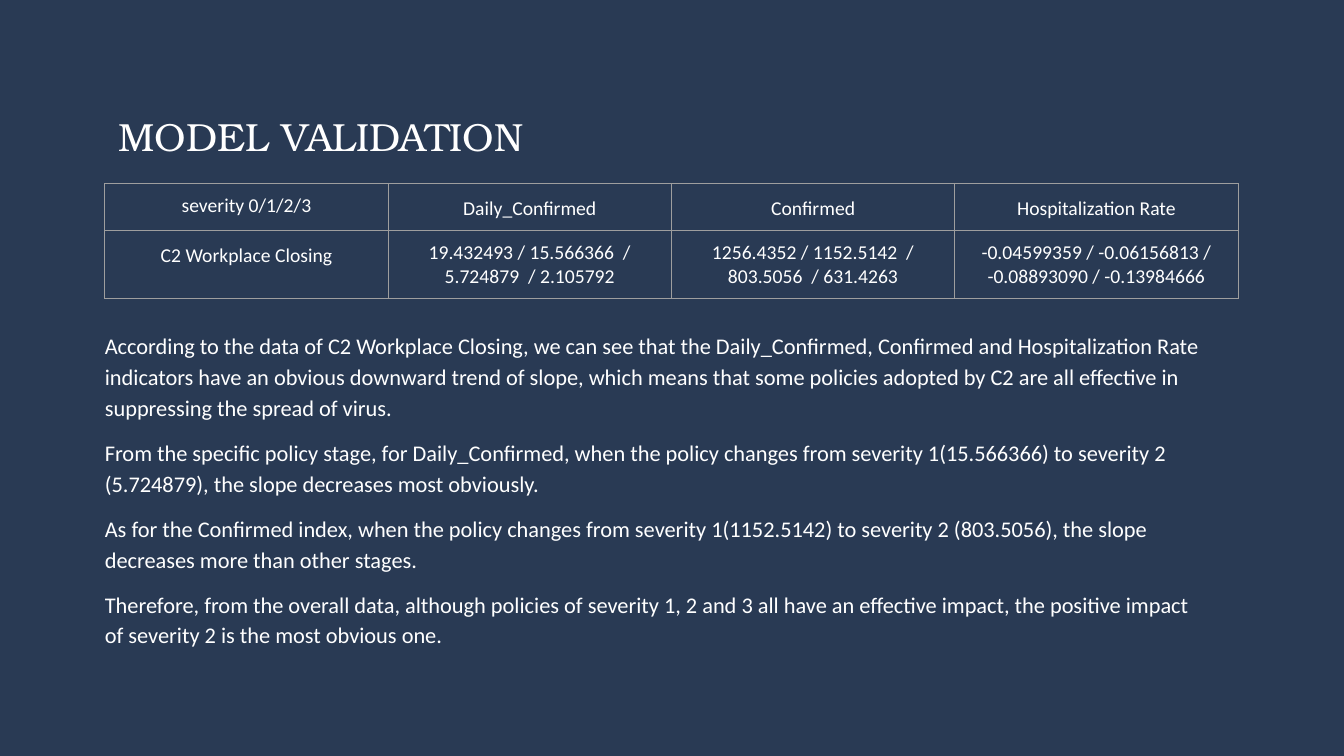
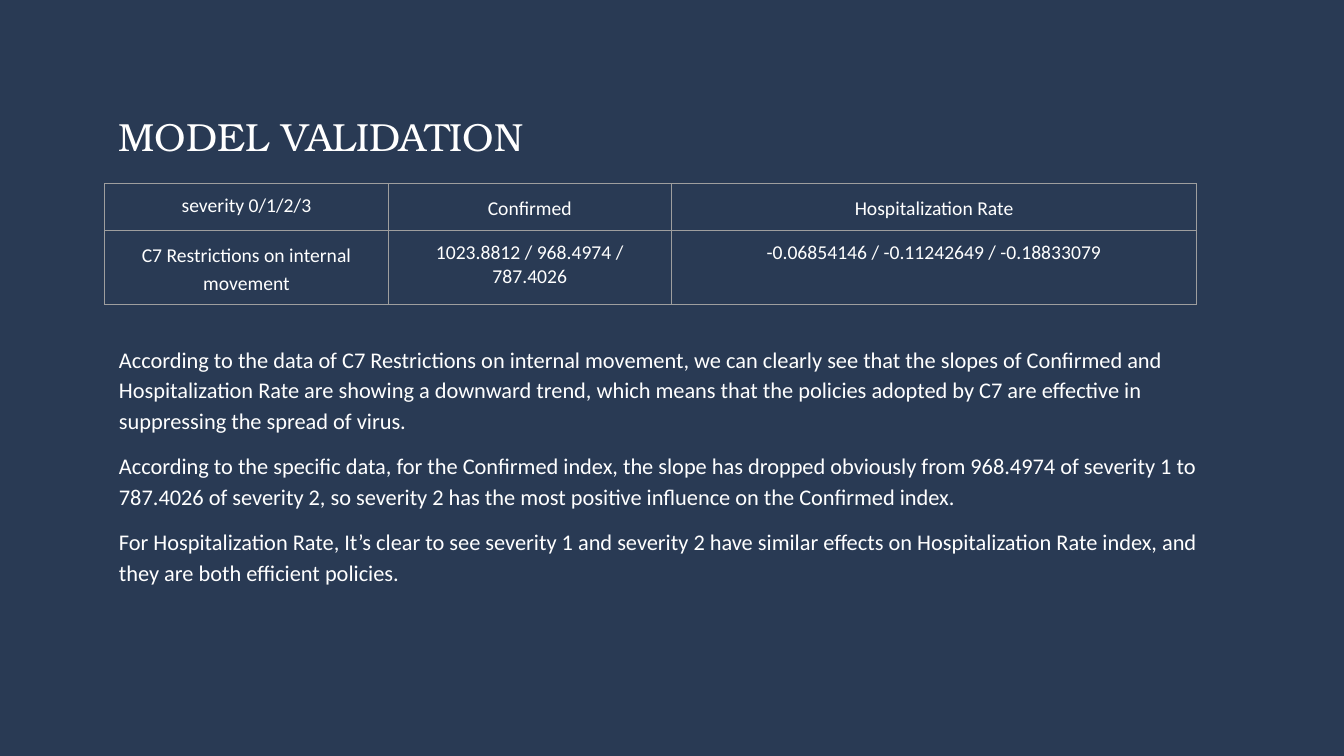
from lxml.etree import SubElement
from pptx import Presentation
from pptx.dml.color import RGBColor
from pptx.enum.text import MSO_ANCHOR as ANCHOR, PP_ALIGN as ALIGN
from pptx.oxml.ns import qn
from pptx.util import Inches, Pt

# Shared look
BACKGROUND, WHITE, BORDER = "293A54", "FFFFFF", "9E9E9E"
TITLE_FONT = {"name": "TeX Gyre Bonum", "size": Pt(28)}
BODY_FONT = {"name": "Calibri", "size": Pt(16)}
CELL_FONT = {"name": "Calibri", "size": Pt(14)}
LOOSE = {"line_spacing": 1.15, "space_before": Pt(10)}
FRAME = {"margin_left": 0, "margin_top": 0, "margin_right": 0,
         "margin_bottom": 0, "word_wrap": True,
         "vertical_anchor": ANCHOR.TOP}
CELL_MARGINS = {f"margin_{side}": Inches(0.1)
                for side in ("left", "top", "right", "bottom")}
TABLE_LEFT, TITLE_LEFT, TEXT_WIDTH = 1.04, 1.18, 10.97
ROW_HEIGHT = 0.42

# Slide content
SLIDES = [
    {
        "columns": [2.81] * 4,
        "rows": [
            ["severity 0/1/2/3", "Daily_Confirmed", "Confirmed",
             "Hospitalization Rate"],
            ["C2 Workplace Closing",
             "19.432493 / 15.566366  / 5.724879  / 2.105792",
             "1256.4352 / 1152.5142  / 803.5056  / 631.4263",
             "-0.04599359 / -0.06156813 / -0.08893090 / -0.13984666"],
        ],
        "body_at": (TABLE_LEFT, 3.26),
        "body": [
            "According to the data of C2 Workplace Closing, we can see that "
            "the Daily_Confirmed, Confirmed and Hospitalization Rate "
            "indicators have an obvious downward trend of slope, which means "
            "that some policies adopted by C2 are all effective in "
            "suppressing the spread of virus.",
            "From the specific policy stage, for Daily_Confirmed, when the "
            "policy changes from severity 1(15.566366) to severity 2 "
            "(5.724879), the slope decreases most obviously.",
            "As for the Confirmed index, when the policy changes from "
            "severity 1(1152.5142) to severity 2 (803.5056), the slope "
            "decreases more than other stages.",
            "Therefore, from the overall data, although policies of severity "
            "1, 2 and 3 all have an effective impact, the positive impact of "
            "severity 2 is the most obvious one.",
        ],
    },
    {
        "columns": [2.81, 2.81, 5.21],
        "rows": [
            ["severity 0/1/2/3", "Confirmed", "Hospitalization Rate"],
            ["C7 Restrictions on internal movement",
             "1023.8812 / 968.4974 / 787.4026",
             "-0.06854146 / -0.11242649 / -0.18833079"],
        ],
        "body_at": (TITLE_LEFT, 3.39),
        "body": [
            "According to the data of C7 Restrictions on internal movement, "
            "we can clearly see that the slopes of Confirmed and "
            "Hospitalization Rate are showing a downward trend, which means "
            "that the policies adopted by C7 are effective in suppressing "
            "the spread of virus.",
            "According to the specific data, for the Confirmed index, the "
            "slope has dropped obviously from 968.4974 of severity 1 to "
            "787.4026 of severity 2, so severity 2 has the most positive "
            "influence on the Confirmed index.",
            "For Hospitalization Rate, It’s clear to see severity 1 and "
            "severity 2 have similar effects on Hospitalization Rate index, "
            "and they are both efficient policies.",
        ],
    },
]


def rgb(value):
    return RGBColor.from_string(value)


def apply(target, values):
    for name, value in values.items():
        setattr(target, name, value)


def write(p, text, font, align=ALIGN.LEFT, spacing=None):
    r = p.add_run()
    r.text = text
    apply(r.font, font)
    r.font.color.rgb = rgb(WHITE)
    apply(p, {"alignment": align, **(spacing or {})})


def add_title(s, text):
    sp = s.shapes.title
    apply(sp, {"left": Inches(TITLE_LEFT), "top": Inches(1.11),
               "width": Inches(TEXT_WIDTH), "height": Inches(0.72)})
    apply(sp.text_frame, FRAME)
    write(sp.text_frame.paragraphs[0], text, TITLE_FONT)


def add_body(s, left, top, texts):
    sp = s.shapes.add_textbox(Inches(left), Inches(top),
                              Inches(TEXT_WIDTH), Inches(4.1))
    tf = sp.text_frame
    apply(tf, FRAME)
    for i, text in enumerate(texts):
        p = tf.add_paragraph() if i else tf.paragraphs[0]
        write(p, text, BODY_FONT, spacing=LOOSE)


def set_borders(cell):
    tc_pr = cell._tc.get_or_add_tcPr()
    for tag in ("a:lnL", "a:lnR", "a:lnT", "a:lnB"):
        ln = SubElement(tc_pr, qn(tag), w=str(Pt(0.75)))
        fill = SubElement(ln, qn("a:solidFill"))
        SubElement(fill, qn("a:srgbClr"), val=BORDER)


def add_grid(s, columns, rows):
    frame = s.shapes.add_table(
        len(rows), len(columns), Inches(TABLE_LEFT), Inches(1.82),
        Inches(sum(columns)), Inches(ROW_HEIGHT * len(rows)))
    table = frame.table
    apply(table, {"first_row": False, "horz_banding": False})
    for column, width in zip(table.columns, columns):
        column.width = Inches(width)
    for i, texts in enumerate(rows):
        for j, text in enumerate(texts):
            cell = table.cell(i, j)
            apply(cell, CELL_MARGINS)
            set_borders(cell)
            cell.fill.background()
            # Column and row labels are loose; the corner and values are not
            is_label = (i == 0) != (j == 0)
            write(cell.text_frame.paragraphs[0], text, CELL_FONT,
                  ALIGN.CENTER, LOOSE if is_label else None)


def main():
    prs = Presentation()
    apply(prs, {"slide_width": Inches(13.33), "slide_height": Inches(7.5)})
    fill = prs.slide_master.background.fill
    fill.solid()
    fill.fore_color.rgb = rgb(BACKGROUND)
    for content in SLIDES:
        s = prs.slides.add_slide(prs.slide_layouts[5])
        add_title(s, "MODEL VALIDATION")
        add_body(s, *content["body_at"], content["body"])
        add_grid(s, content["columns"], content["rows"])
    prs.save("out.pptx")


if __name__ == "__main__":
    main()
